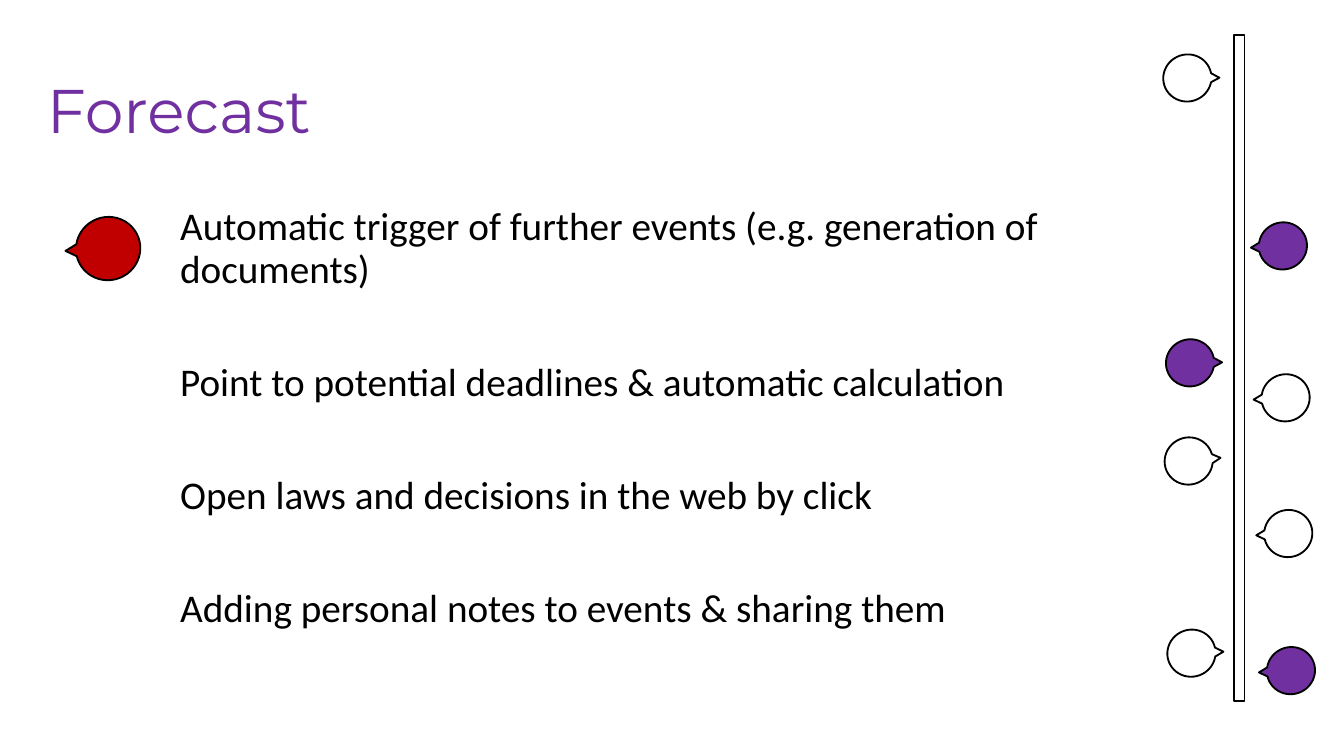
from pptx import Presentation
from pptx.dml.color import RGBColor
from pptx.enum.shapes import MSO_SHAPE as Shape
from pptx.enum.text import MSO_ANCHOR as Anchor
from pptx.util import Inches, Pt

TITLE = "Forecast"
POINTS = [
    "Automatic trigger of further events (e.g. generation of documents)",
    "Point to potential deadlines & automatic calculation",
    "Open laws and decisions in the web by click",
    "Adding personal notes to events & sharing them",
]
TIMELINE = (9.18, 0.26, 0.08, 4.96)
TIMELINE_EVENTS = [
    (9.37, 1.65, 68.8, "accent"),
    (9.39, 2.78, 68.8, "paper"),
    (8.68, 2.52, 251, "accent"),
    (8.69, 4.68, 249.3, "paper"),
    (8.67, 3.25, 246.3, "paper"),
    (8.66, 0.4, 251.5, "paper"),
    (9.41, 3.79, 68.8, "paper"),
    (9.43, 4.81, 68.8, "accent"),
]
EVENT_SIZE = (0.35, 0.36)
CURRENT_EVENT = (0.57, 1.61, 68.8, "alert")
CURRENT_SIZE = (0.47, 0.48)
POINTER = (-0.21, 0.63)

THEME = {
    "accent": RGBColor(0x70, 0x30, 0xA0),
    "alert": RGBColor(0xC0, 0x00, 0x00),
    "paper": RGBColor(0xFF, 0xFF, 0xFF),
    "ink": RGBColor(0x00, 0x00, 0x00),
    "title_font": "Montserrat",
    "title_size": Pt(33),
    "body_font": "Calibri",
    "body_size": Pt(21),
    "outline": Pt(1),
}


def add_outlined(shapes, kind, box, color):
    """Add a filled shape with a thin dark outline."""
    shape = shapes.add_shape(kind, *map(Inches, box))
    shape.shadow.inherit = False
    shape.fill.solid()
    shape.fill.fore_color.rgb = THEME[color]
    shape.line.color.rgb = THEME["ink"]
    shape.line.width = THEME["outline"]
    return shape


def add_event(shapes, event, size):
    """Add a round callout turned towards the timeline."""
    left, top, rotation, color = event
    shape = add_outlined(shapes, Shape.OVAL_CALLOUT, (left, top, *size), color)
    shape.rotation = rotation
    for index, value in enumerate(POINTER):
        shape.adjustments[index] = value


def add_text(slide, box, lines, role, color, anchor):
    """Add a text box with one paragraph per line and return its paragraphs."""
    frame = slide.shapes.add_textbox(*map(Inches, box)).text_frame
    frame.word_wrap = True
    frame.vertical_anchor = anchor
    frame.margin_left = frame.margin_right = Inches(0.07)
    frame.margin_top = frame.margin_bottom = Inches(0.04)
    for index, line in enumerate(lines):
        paragraph = frame.add_paragraph() if index else frame.paragraphs[0]
        paragraph.line_spacing = 0.9
        run = paragraph.add_run()
        run.text = line
        run.font.name = THEME[f"{role}_font"]
        run.font.size = THEME[f"{role}_size"]
        run.font.color.rgb = THEME[color]
    return frame.paragraphs


def main():
    """Build the forecast slide."""
    presentation = Presentation()
    presentation.slide_width = Inches(10)
    presentation.slide_height = presentation.slide_width * 9 // 16
    slide = presentation.slides.add_slide(presentation.slide_layouts[6])

    add_text(slide, (0.28, 0.3, 9.04, 1.09), [TITLE], "title", "accent", Anchor.MIDDLE)
    paragraphs = add_text(
        slide, (1.17, 1.5, 7.08, 3.57), POINTS, "body", "ink", Anchor.TOP
    )
    for index, paragraph in enumerate(paragraphs):
        paragraph.space_before = Pt(8 if index else 0)
        paragraph.space_after = Pt(30)
        properties = paragraph._p.get_or_add_pPr()
        properties.set("marL", str(Inches(0.1)))
        properties.set("indent", "0")

    timeline = slide.shapes.add_group_shape()
    add_outlined(timeline.shapes, Shape.RECTANGLE, TIMELINE, "paper")
    for event in TIMELINE_EVENTS:
        add_event(timeline.shapes, event, EVENT_SIZE)
    add_event(slide.shapes, CURRENT_EVENT, CURRENT_SIZE)

    presentation.save("out.pptx")


if __name__ == "__main__":
    main()
